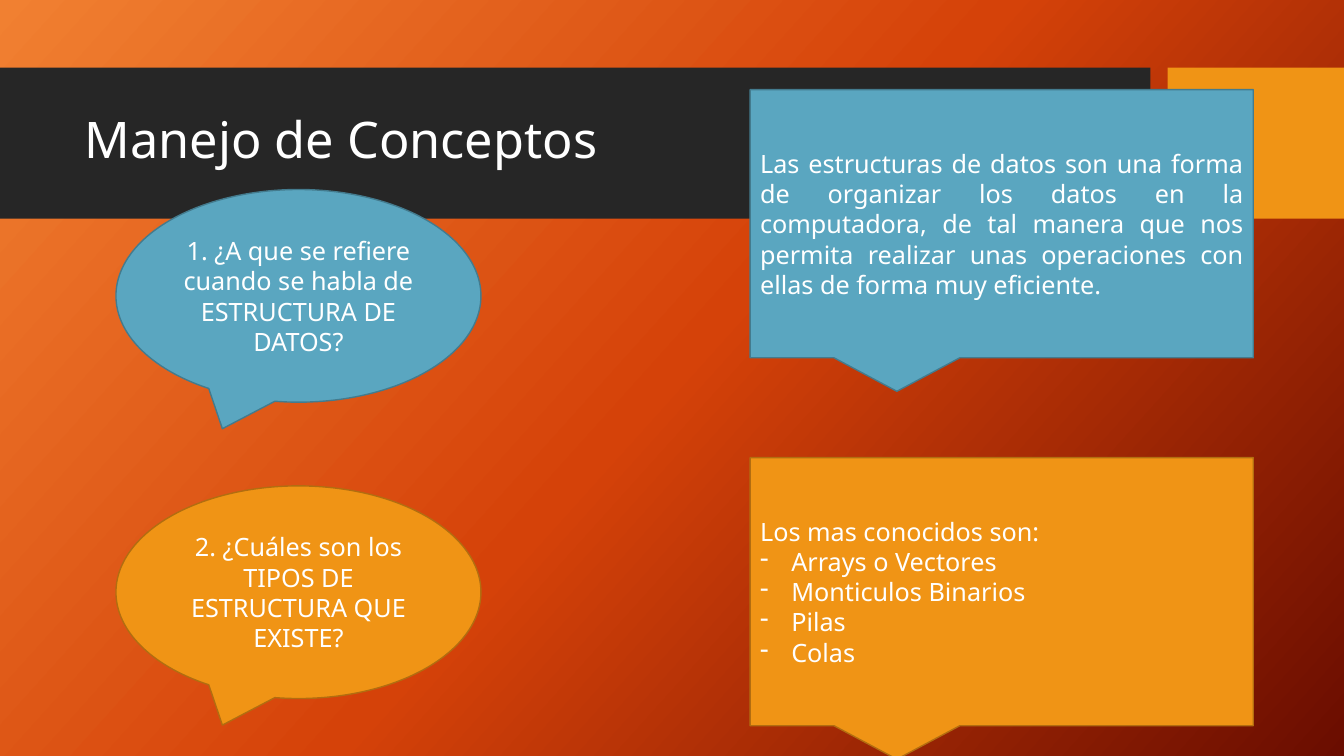
from copy import deepcopy

from lxml import etree
from pptx import Presentation
from pptx import util as u
from pptx.dml.color import RGBColor
from pptx.enum import shapes, text
from pptx.oxml.ns import qn

COLORS = {
    "glow": "F18031", "ember": "D54209", "maroon": "6A0D00",
    "band": "262626", "white": "FFFFFF",
    "blue": "5AA6C0", "blue_edge": "437B8E",
    "orange": "F09415", "orange_edge": "B26D10",
}
ALIGN = text.PP_ALIGN


def rgb(name):
    return RGBColor.from_string(COLORS[name])


class SlideBuilder:
    font = "Noto Sans"
    body_size = 18
    title_size = 36
    bullet_indent = u.Inches(0.31)

    def __init__(self, slide):
        self.slide = slide

    def background(self, names, angle):
        fill = self.slide.background.fill
        fill.gradient()
        fill.gradient_angle = 360 - angle
        stop_list = self.slide.element.find(".//" + qn("a:gsLst"))
        stop_list.insert(1, deepcopy(stop_list[0]))
        last = len(names) - 1
        for i, (stop, name) in enumerate(zip(fill.gradient_stops, names)):
            stop.position = i / last
            stop.color.rgb = rgb(name)

    def shape(self, kind, box, fill, edge=None):
        shape = self.slide.shapes.add_shape(kind, *map(u.Inches, box))
        shape.shadow.inherit = False
        shape.fill.solid()
        shape.fill.fore_color.rgb = rgb(fill)
        if edge:
            shape.line.color.rgb = rgb(edge)
            shape.line.width = u.Pt(1)
        else:
            shape.line.fill.background()
        return shape

    def add_lines(self, shape, lines, size, align, bullets_from=None):
        frame = shape.text_frame
        frame.word_wrap = True
        frame.vertical_anchor = text.MSO_ANCHOR.MIDDLE
        for i, line in enumerate(lines):
            paragraph = frame.paragraphs[0] if i == 0 else frame.add_paragraph()
            paragraph.alignment = align
            run = paragraph.add_run()
            run.text = line
            run.font.name = self.font
            run.font.size = u.Pt(size)
            run.font.color.rgb = rgb("white")
            if bullets_from is not None and i >= bullets_from:
                self.bullet(paragraph)
        return frame

    def bullet(self, paragraph):
        properties = paragraph._p.get_or_add_pPr()
        properties.set("marL", str(self.bullet_indent))
        properties.set("indent", str(-self.bullet_indent))
        etree.SubElement(properties, qn("a:buFontTx"))
        etree.SubElement(properties, qn("a:buChar")).set("char", "-")

    def title(self, wording, box):
        title = self.slide.shapes.add_textbox(*map(u.Inches, box))
        frame = self.add_lines(title, [wording], self.title_size, ALIGN.LEFT)
        frame.paragraphs[0].line_spacing = 0.9

    def callout(self, kind, box, color, lines, align, bullets_from=None):
        callout = self.shape(kind, box, color, color + "_edge")
        self.add_lines(callout, lines, self.body_size, align, bullets_from)


deck = Presentation()
deck.slide_width, deck.slide_height = u.Inches(13.33), u.Inches(7.5)
builder = SlideBuilder(deck.slides.add_slide(deck.slide_layouts[6]))

builder.background(["glow", "ember", "maroon"], 42)
for left, width, color in [(0, 11.41, "band"), (11.58, 1.75, "orange")]:
    builder.shape(shapes.MSO_SHAPE.RECTANGLE, (left, 0.67, width, 1.5), color)
builder.title("Manejo de Conceptos", (0.74, 0.82, 10.51, 1.18))

questions = [
    (1.88, "blue", "1. ¿A que se refiere cuando se habla de ESTRUCTURA DE DATOS?"),
    (4.82, "orange", "2. ¿Cuáles son los TIPOS DE ESTRUCTURA QUE EXISTE?"),
]
for top, color, question in questions:
    builder.callout(shapes.MSO_SHAPE.OVAL_CALLOUT, (1.15, top, 3.62, 2.11),
                    color, [question], ALIGN.CENTER)

definition = [
    "Las estructuras de datos son una forma de organizar los datos en la "
    "computadora, de tal manera que nos permita realizar unas operaciones "
    "con ellas de forma muy eficiente."
]
structure_types = ["Los mas conocidos son:", "Arrays o Vectores",
                   "Monticulos Binarios", "Pilas", "Colas"]
for top, color, answer in [(0.89, "blue", definition),
                           (4.54, "orange", structure_types)]:
    builder.callout(shapes.MSO_SHAPE.RECTANGULAR_CALLOUT, (7.44, top, 4.99, 2.66),
                    color, answer, ALIGN.JUSTIFY, bullets_from=1)

deck.save("out.pptx")
